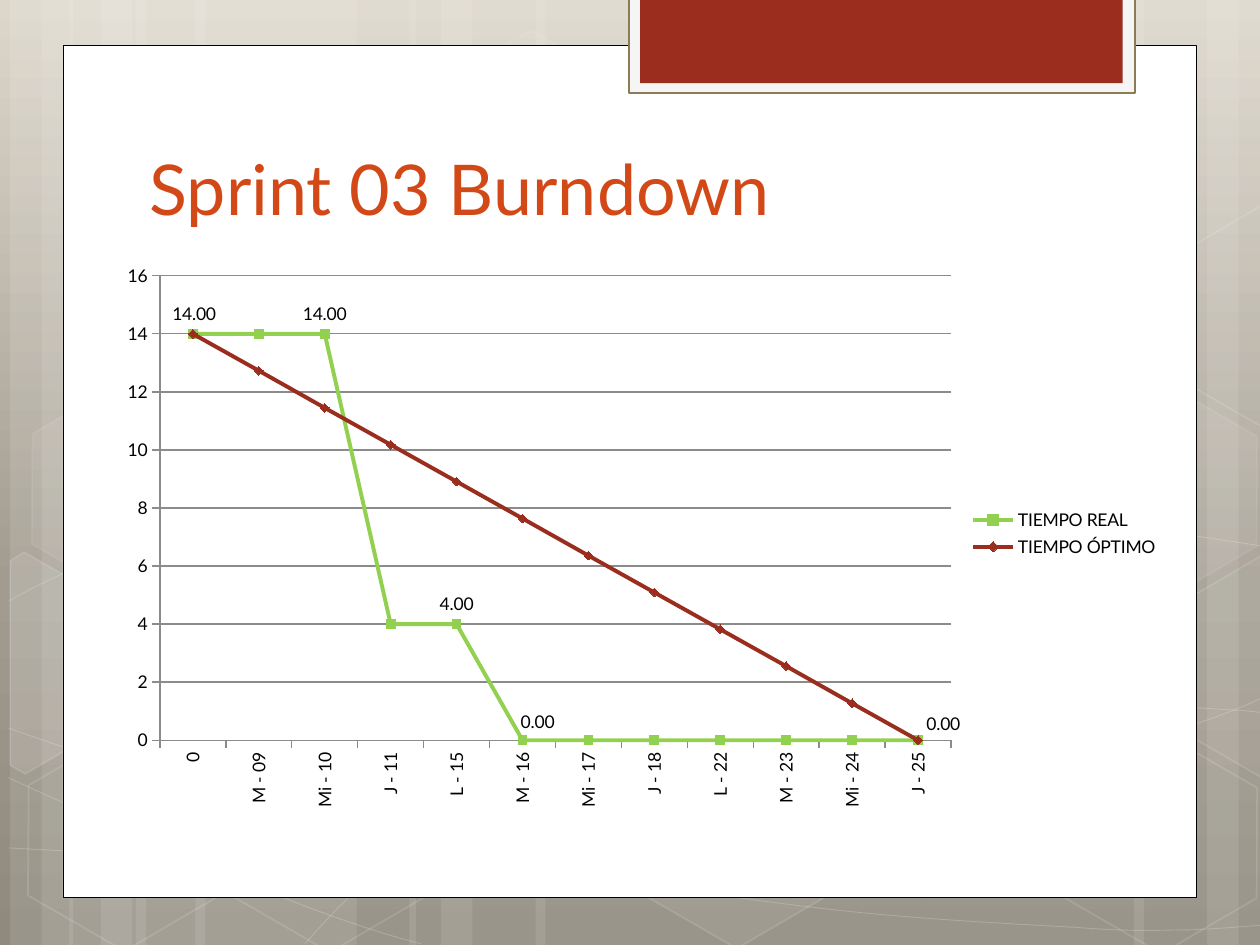
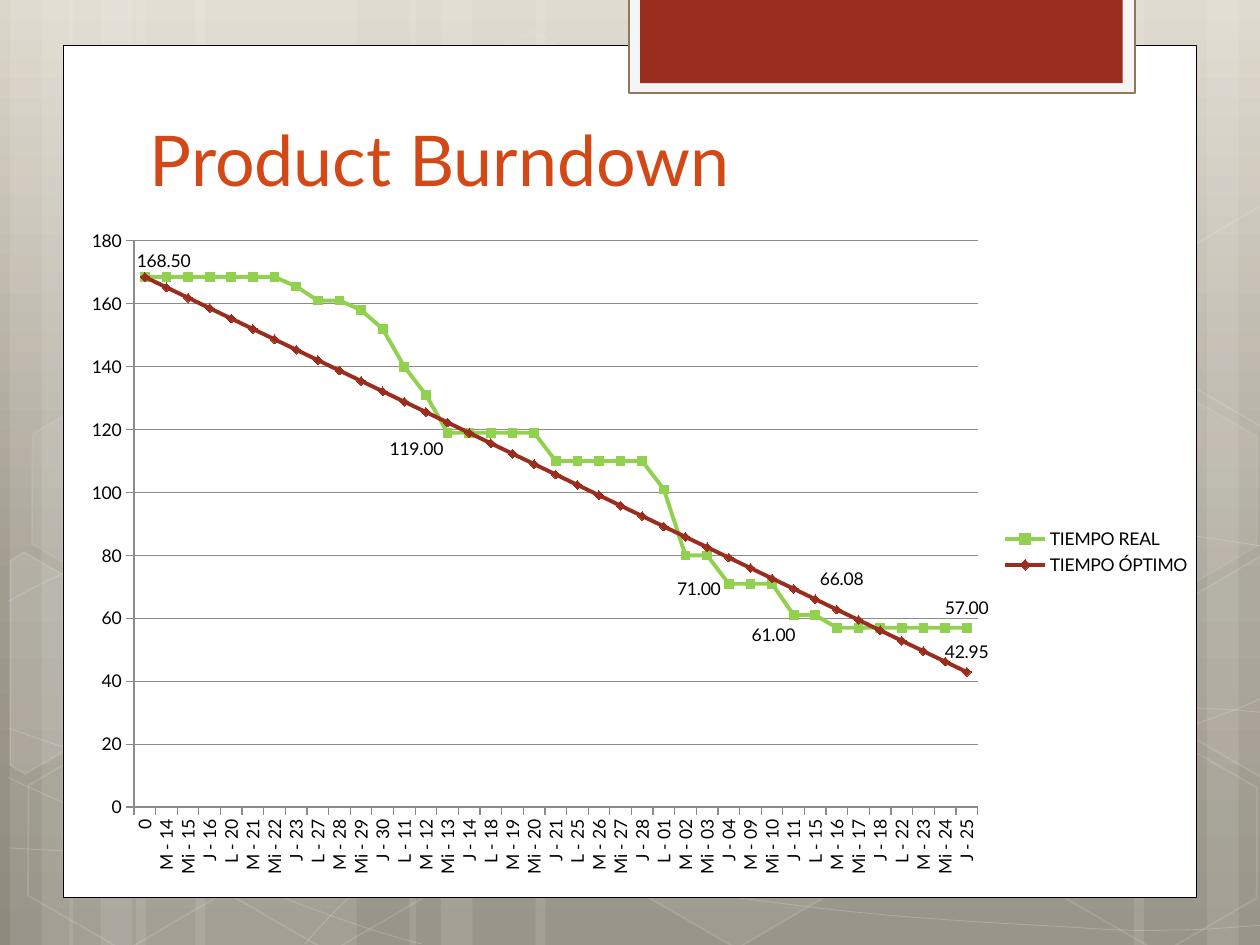
"""Burndown slides: a shared hexagon backdrop, a title and a line chart."""
from copy import deepcopy
from math import cos, radians, sin

from pptx import Presentation
from pptx.chart.data import CategoryChartData
from pptx.dml.color import RGBColor
from pptx.enum import chart as kinds, shapes, text
from pptx.oxml import ns, xmlchemy
from pptx.util import Inches, Pt

WHITE = RGBColor(0xFF, 0xFF, 0xFF)
BLACK = RGBColor(0, 0, 0)
PALE = RGBColor(0xF5, 0xF5, 0xF5)
TAN = RGBColor(0x8B, 0x7B, 0x57)
BRICK = RGBColor(0x9B, 0x2D, 0x1F)
ORANGE = RGBColor(0xD3, 0x48, 0x17)
GREEN = RGBColor(0x92, 0xD0, 0x50)
GREY = RGBColor(0x8B, 0x8B, 0x8B)
SKY = [(0, RGBColor(0xDD, 0xD7, 0xCB)), (0.62, RGBColor(0xA2, 0x9C, 0x90)),
       (1, RGBColor(0x8F, 0x8A, 0x7D))]
FONT = "Lato"
TILT = 30
BOX = shapes.MSO_SHAPE.RECTANGLE
HEX = shapes.MSO_SHAPE.HEXAGON
UP, DOWN, LEFT = (kinds.XL_LABEL_POSITION.ABOVE, kinds.XL_LABEL_POSITION.BELOW,
                  kinds.XL_LABEL_POSITION.LEFT)

# Left edge, width and turn of each full-height light band
BANDS = [(1.08, 1.75, 0), (0.08, 0.5, 0), (0.33, 0.83, 0), (1.55, 1.75, 0),
         (0.55, 0.5, 0), (0.8, 0.83, 0), (7.33, 1.75, 180), (9.58, 0.5, 180),
         (9, 0.83, 180), (4.25, 3.08, 0), (3.25, 0.5, 0), (3.5, 0.83, 0)]
# Start point, then cubic segments (two control points and an end) or line ends
CURVES = [
    [(0.07, 6.73), (0.61, 6.76, 1.15, 6.79, 1.9, 6.78),
     (2.65, 6.77, 3.58, 6.75, 4.58, 6.65), (5.58, 6.55, 7, 6.36, 7.92, 6.17),
     (8.83, 5.98, 9.77, 5.68, 10.07, 5.51)],
    [(0.07, 4.77), (0.36, 4.61, 0.65, 4.46, 1.21, 4.31),
     (1.78, 4.16, 2.59, 3.94, 3.47, 3.87), (4.36, 3.8, 5.44, 3.79, 6.54, 3.87),
     (7.64, 3.95, 9.47, 4.26, 10.07, 4.34)],
    [(0.06, 6.17), (1.27, 6.72, 2.47, 7.27, 3.34, 7.49)],
    [(0.07, 5.78), (0.38, 5.89, 0.7, 6, 1.28, 6.16),
     (1.86, 6.31, 2.73, 6.56, 3.57, 6.73), (4.4, 6.9, 5.45, 7.08, 6.28, 7.18),
     (7.11, 7.29, 8, 7.33, 8.53, 7.36), (9.05, 7.4, 9.19, 7.38, 9.45, 7.38),
     (9.71, 7.37, 9.89, 7.35, 10.07, 7.34)],
    [(2.42, 7.49), (2.6, 7.29, 2.78, 7.09, 3.02, 6.91),
     (3.26, 6.73, 3.6, 6.53, 3.88, 6.39), (4.16, 6.25, 4.33, 6.19, 4.7, 6.09),
     (5.06, 5.99, 5.73, 5.85, 6.08, 5.78), (6.44, 5.71, 6.49, 5.71, 6.8, 5.69),
     (7.11, 5.66, 7.6, 5.63, 7.94, 5.62), (8.29, 5.61, 8.86, 5.62, 8.86, 5.62),
     (9.53, 5.62), (9.71, 5.63, 9.88, 5.64, 9.97, 5.65),
     (10.06, 5.66, 10.03, 5.65, 10.06, 5.66)],
]
# Left, top, fill opacity, line opacity; None marks the next cut hexagon
HEXES = [(3.34, 0.36, 4, 8), (4.97, 5.89, 6, 12), None, (0.11, 5.91, 0, 12),
         (0.14, 3.12, 7, 8), (1.74, 5.92, 0, 12), (7.53, 4.53, 10, 12),
         (8.34, 5.93, 0, 12), (8.34, 3.14, 7, 8), None, None]
# Hexagons cut by the slide edge: fill opacity, centre, outline
CUTS = [(10, (0.36, 5.35), [(0.08, 4.45), (0.19, 4.38), (0.96, 4.82),
                            (0.95, 5.7), (0.2, 6.14), (0.08, 6.07)]),
        (4, (9.85, 5.2), [(9.26, 4.85), (10.01, 4.41), (10.09, 4.46),
                          (10.09, 6.13), (10.02, 6.17), (9.26, 5.73)]),
        (0, (9.85, 2.41), [(9.26, 2.07), (10.01, 1.63), (10.1, 1.68),
                           (10.09, 3.35), (10.02, 3.39), (9.26, 2.95)])]


def leaf(tag, **marks):
    """Return an XML element that holds attributes only."""
    item = xmlchemy.OxmlElement(tag)
    for name, val in marks.items():
        item.set(name, str(val))
    return item


def dim(fill, color, alpha, node):
    """Fill with a colour at a given opacity in percent; 0 means no fill."""
    if not alpha:
        fill.background()
        return
    fill.solid()
    fill.fore_color.rgb = color
    if alpha < 100:
        tone = node.find(ns.qn("a:solidFill")).find(ns.qn("a:srgbClr"))
        tone.append(leaf("a:alpha", val=alpha * 1000))


def paint(shape, fill=WHITE, alpha=100, line=WHITE, width=0, fade=100):
    """Set the fill and outline of a shape, without a shadow."""
    shape.shadow.inherit = False
    props = shape.element.spPr
    dim(shape.fill, fill, alpha, props)
    if width:
        shape.line.width = Pt(width)
        dim(shape.line.fill, line, fade, props.find(ns.qn("a:ln")))
    else:
        shape.line.fill.background()


def add(slide, kind, x, y, w, h):
    """Add a preset shape measured in inches."""
    return slide.shapes.add_shape(kind, *map(Inches, (x, y, w, h)))


def trace(slide, points, close=False):
    """Draw an outline through points in inches."""
    spots = [(Inches(x), Inches(y)) for x, y in points]
    pen = slide.shapes.build_freeform(*spots[0], scale=1.0)
    pen.add_line_segments(spots[1:], close=close)
    return pen.convert_to_shape()


def bend(slide, curve):
    """Draw an open outline whose six-number segments are cubic curves."""
    shape = trace(slide, [part[-2:] for part in curve])
    lines = list(shape.element.iter(ns.qn("a:lnTo")))
    for line, part in zip(lines, curve[1:]):
        if len(part) == 6:
            arc = xmlchemy.OxmlElement("a:cubicBezTo")
            for x, y in zip(part[::2], part[1::2]):
                arc.append(leaf("a:pt", x=Inches(x) - shape.left,
                                y=Inches(y) - shape.top))
            line.getparent().replace(line, arc)
    return shape


def clip(slide, middle, points):
    """Draw a cut hexagon upright, then tilt it about its centre."""
    mx, my = middle
    c, s = cos(radians(TILT)), sin(radians(TILT))
    flat = [(mx + (x - mx) * c + (y - my) * s, my - (x - mx) * s + (y - my) * c)
            for x, y in points]
    shape = trace(slide, flat + flat[:1], True)
    shape.rotation = TILT
    return shape


def sky(slide):
    """Give the slide its vertical three-stop gradient."""
    fill = slide.background.fill
    fill.gradient()
    fill.gradient_angle = 270
    stops = slide.element.find(".//" + ns.qn("a:gsLst"))
    stops.append(deepcopy(stops[0]))
    for stop, (place, color) in zip(fill.gradient_stops, SKY):
        stop.position = place
        stop.color.rgb = color


def scene(slide, high):
    """Draw light bands, curves and hexagons over the given height."""
    for x, w, turn in BANDS:
        band = add(slide, BOX, x, 0, w, high)
        band.rotation = turn
        paint(band, alpha=10)
    for curve in CURVES:
        paint(bend(slide, curve), alpha=0, width=0.5, fade=20)
    cuts = iter(CUTS)
    for spot in HEXES:
        if spot:
            x, y, alpha, fade = spot
            cell = add(slide, HEX, x, y, 1.75, 1.52)
            cell.adjustments[0] = 0.285
            cell.rotation = TILT
        else:
            alpha, middle, points = next(cuts)
            cell, fade = clip(slide, middle, points), 12
        paint(cell, alpha=alpha, width=1, fade=fade)


def panel(slide, x, y, w, h):
    """Draw the white page with the brick tab hanging over its top."""
    paint(add(slide, BOX, x, y, w, h), line=BLACK, width=0.5)
    left, top = x + 4.49, y - 0.38
    paint(add(slide, BOX, left, top, 4.02, 0.76), PALE, line=TAN, width=1.25)
    paint(add(slide, BOX, left + 0.09, top, 3.83, 0.68), BRICK)


def head(slide, words, x, y, w, h):
    """Write the slide title at the bottom of its box."""
    frame = slide.shapes.add_textbox(*map(Inches, (x, y, w, h))).text_frame
    frame.word_wrap = True
    frame.vertical_anchor = text.MSO_ANCHOR.BOTTOM
    line = frame.paragraphs[0]
    line.text = words
    line.font.name, line.font.size = FONT, Pt(40)
    line.font.color.rgb = ORANGE


def layout(node, index, **parts):
    """Place a chart part by hand, in fractions of the chart."""
    for old in node.findall(ns.qn("c:layout")):
        node.remove(old)
    outer = xmlchemy.OxmlElement("c:layout")
    inner = xmlchemy.OxmlElement("c:manualLayout")
    outer.append(inner)
    for name, val in parts.items():
        inner.append(leaf("c:" + name, val=val))
    node.insert(index, outer)


def axes(chart, top, step):
    """Style both axes; category names read upwards."""
    across, rise = chart.category_axis, chart.value_axis
    rise.minimum_scale, rise.maximum_scale, rise.major_unit = 0, top, step
    rise.tick_labels.number_format = "0"
    rise.tick_labels.number_format_is_linked = False
    rise.has_major_gridlines = True
    for axis in (across, rise):
        axis.major_tick_mark = kinds.XL_TICK_MARK.OUTSIDE
        axis.tick_labels.font.size = Pt(10)
    for part in (across, rise, rise.major_gridlines):
        part.format.line.color.rgb = GREY
        part.format.line.width = Pt(0.75)
    turn = chart.element.find(".//" + ns.qn("c:catAx")).find(".//" + ns.qn("a:bodyPr"))
    turn.set("rot", "-5400000")
    turn.set("vert", "horz")


def dress(series, node, color, marker, labels, w, h):
    """Style one line and label chosen points, shifted by inches."""
    series.smooth = False
    series.format.line.color.rgb = color
    series.format.line.width = Pt(2.25)
    series.marker.style, series.marker.size = marker, 5
    look = series.marker.format
    look.fill.solid()
    look.fill.fore_color.rgb = look.line.color.rgb = color
    look.line.width = Pt(0.75)
    series.data_labels.show_value = False
    for index, (place, _, _) in labels.items():
        series.points[index].data_label.position = place
    for label in node.iter(ns.qn("c:dLbl")):
        _, dx, dy = labels[int(label[0].get("val"))]
        label.insert(1, leaf("c:numFmt", formatCode="0.00", sourceLinked=0))
        if dx or dy:
            layout(label, 1, x=round(dx / w, 4), y=round(dy / h, 4))


def burn(slide, data, x, y, w, h):
    """Draw a burndown chart of real against optimal time."""
    sheet = CategoryChartData(number_format="0.00")
    sheet.categories = data["days"]
    real, span = data["real"], data["span"]
    sheet.add_series("TIEMPO REAL", real)
    sheet.add_series("TIEMPO ÓPTIMO", [round(real[0] * (1 - n / span), 2)
                                       for n in range(len(real))])
    chart = slide.shapes.add_chart(kinds.XL_CHART_TYPE.LINE_MARKERS,
                                   *map(Inches, (x, y, w, h)), sheet).chart
    chart.has_title = False
    chart.font.name, chart.font.size = FONT, Pt(10)
    chart.font.color.rgb = BLACK
    chart.plots[0].vary_by_categories = False
    axes(chart, *data["scale"])
    chart.has_legend = True
    chart.legend.position = kinds.XL_LEGEND_POSITION.RIGHT
    chart.legend.include_in_layout = False
    root = chart.element
    layout(root.find(".//" + ns.qn("c:plotArea")), 0, layoutTarget="inner",
           xMode="edge", yMode="edge", **dict(zip("xywh", data["plot"])))
    if "key" in data:
        layout(root.find(".//" + ns.qn("c:legend")), 1, xMode="edge",
               yMode="edge", **dict(zip("xywh", data["key"])))
    marks = kinds.XL_MARKER_STYLE
    looks = (GREEN, marks.SQUARE), (BRICK, marks.DIAMOND)
    nodes = list(root.iter(ns.qn("c:ser")))
    for series, node, look, labels in zip(chart.plots[0].series, nodes, looks,
                                          data["labels"]):
        dress(series, node, *look, labels, w, h)
    for lead in list(root.iter(ns.qn("c:showLeaderLines"))):
        lead.getparent().remove(lead)


def page(deck, words, top, data, box):
    """Build one slide: backdrop, panel, title and chart."""
    slide = deck.slides.add_slide(deck.slide_layouts[6])
    sky(slide)
    scene(slide, 7.5)
    panel(slide, 0.5, 0.36, 9, 6.76)
    head(slide, words, 1.09, top, 7.68, 1.25)
    burn(slide, data, *box)


SPRINT = {
    "days": ("0,M - 09,Mi - 10,J - 11,L - 15,M - 16,Mi - 17,J - 18,L - 22,"
             "M - 23,Mi - 24,J - 25").split(","),
    "real": [14] * 3 + [4] * 2 + [0] * 7, "span": 11, "scale": (16, 2),
    "plot": (0.078, 0.034, 0.681, 0.786), "key": (0.775, 0.42, 0.163, 0.1),
    "labels": ({2: (UP, 0, 0), 4: (UP, 0, 0), 5: (UP, 0.12, 0.01)},
               {0: (UP, 0.01, 0), 11: (UP, 0.2, 0.03)}),
}
PRODUCT = {
    "days": ("0,M - 14,Mi - 15,J - 16,L - 20,M - 21,Mi - 22,J - 23,L - 27,M - 28,"
             "Mi - 29,J - 30,L - 11,M - 12,Mi - 13,J - 14,L - 18,M - 19,Mi - 20,"
             "J - 21,L - 25,M - 26,Mi - 27,J - 28,L - 01,M - 02,Mi - 03,"
             "J - 04").split(",") + SPRINT["days"][1:],
    "real": [168.5] * 7 + [165.5, 161, 161, 158, 152, 140, 131] + [119] * 5
            + [110] * 5 + [101, 80, 80] + [71] * 3 + [61] * 2 + [57] * 7,
    "span": 51, "scale": (180, 20), "plot": (0.057, 0.036, 0.744, 0.845),
    "labels": ({14: (LEFT, 0.04, 0.13), 27: (LEFT, 0.01, 0.04),
                30: (DOWN, -0.16, 0), 38: (UP, 0, 0)},
               {0: (UP, 0.15, 0.03), 31: (UP, 0.21, 0), 38: (UP, 0, 0)}),
}

deck = Presentation()
deck.slide_width, deck.slide_height = Inches(10), Inches(7.5)
page(deck, "Sprint 03 Burndown", 0.62, SPRINT, (0.55, 2.03, 9.22, 4.69))
page(deck, "Product Burndown", 0.39, PRODUCT, (0.55, 1.72, 9, 5.32))
deck.save("out.pptx")
